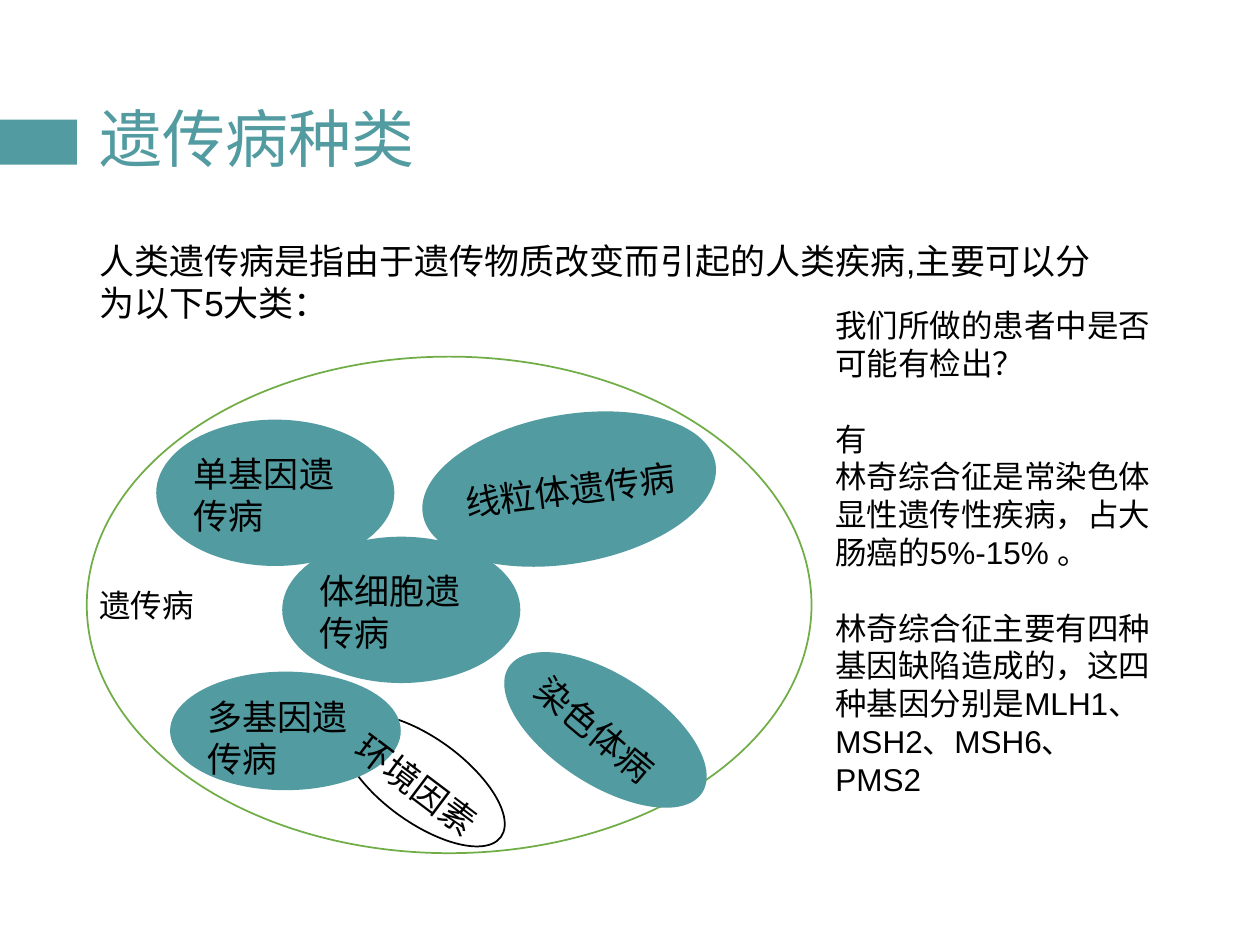
from pptx import Presentation
from pptx.dml.color import RGBColor
from pptx.enum.shapes import MSO_SHAPE
from pptx.enum.text import MSO_ANCHOR, MSO_AUTO_SIZE
from pptx.util import Cm, Pt

HUES = {"teal": "529BA0", "green": "70AD47", "white": "FFFFFF", "black": "000000"}


class Deck:
    def __init__(self):
        self.prs = Presentation()
        self.prs.slide_width, self.prs.slide_height = Cm(25.4), Cm(19.05)
        self.slide = self.prs.slides.add_slide(self.prs.slide_layouts[6])
        self.font = "Arial"

    def hue(self, name):
        return RGBColor.from_string(HUES[name])

    def shape(self, kind, box, fill="teal", line=None, turn=0, host=None):
        shapes = (host or self.slide).shapes
        item = shapes.add_shape(kind, *map(Cm, box))
        item.shadow.inherit = False
        item.rotation = turn
        item.fill.solid()
        item.fill.fore_color.rgb = self.hue(fill)
        if line:
            item.line.color.rgb = self.hue(line)
            item.line.width = Pt(1)
        else:
            item.line.fill.background()

    def oval(self, box, **style):
        self.shape(MSO_SHAPE.OVAL, box, **style)

    def text(self, box, *paras, size=20, color="black", turn=0, wrap=True,
             gaps=(), host=None):
        """Write one paragraph per string; gaps maps an index to space before."""
        item = (host or self.slide).shapes.add_textbox(*map(Cm, box))
        item.rotation = turn
        frame = item.text_frame
        frame.word_wrap = wrap
        frame.auto_size = MSO_AUTO_SIZE.SHAPE_TO_FIT_TEXT
        for num, words in enumerate(paras):
            para = frame.add_paragraph() if num else frame.paragraphs[0]
            if num in gaps:
                para.space_before = Pt(gaps[num])
            run = para.add_run()
            run.text = words
            run.font.name = self.font
            run.font.size = Pt(size)
            run.font.color.rgb = self.hue(color)
        return frame

    def title(self, box, words):
        frame = self.text(box, words, size=36, color="teal")
        frame.auto_size = MSO_AUTO_SIZE.NONE
        frame.vertical_anchor = MSO_ANCHOR.MIDDLE
        frame.paragraphs[0].line_spacing = 0.9

    def node(self, box, words, drop=0.53):
        """Group an oval with its two-line label, inset evenly at the sides."""
        left, top, wide, _ = box
        side = 0.51
        group = self.slide.shapes.add_group_shape()
        self.oval(box, host=group)
        self.text((left + side, top + drop, wide - 2 * side, 1.96), words, host=group)


def main():
    deck = Deck()
    edge = 1.75
    deck.shape(MSO_SHAPE.RECTANGLE, (0, 2.41, 1.55, 0.91))
    deck.oval((edge, 7.19, 14.61, 10.01), fill="white", line="green")
    deck.oval((6.58, 14.88, 3.89, 1.7), fill="white", line="black", turn=36)
    deck.title((edge, 1.02, 21.92, 3.68), "遗传病种类")

    deck.node((3.15, 8.46, 4.8, 2.95), "单基因遗传病")
    deck.node((3.43, 13.54, 4.65, 2.39), "多基因遗传病", drop=0.36)
    deck.text((6.73, 15.32, 3.51, 1.11), "环境因素", turn=37)
    deck.text((edge, 11.68, 2.41, 1.02), "遗传病", size=18, wrap=False)

    deck.oval((8.48, 8.36, 5.99, 3), turn=350)
    deck.text((9.12, 9.32, 4.75, 1.11), "线粒体遗传病", turn=353, wrap=False)
    deck.oval((9.88, 13.61, 4.65, 2.21), turn=33)
    deck.text((10.34, 14.15, 3.33, 1.11), "染色体病", turn=40, wrap=False)
    deck.node((5.69, 10.82, 4.8, 2.95), "体细胞遗传病")

    deck.text((edge, 4.7, 20.52, 1.96),
              "人类遗传病是指由于遗传物质改变而引起的人类疾病,主要可以分为以下5大类：")
    line = 21.6
    deck.text((16.59, 6.05, 7.06, 10.92),
              "我们所做的患者中是否可能有检出？",
              "有",
              "林奇综合征是常染色体显性遗传性疾病，占大肠癌的5%-15% 。",
              "林奇综合征主要有四种基因缺陷造成的，这四种基因分别是MLH1、 MSH2、MSH6、 PMS2",
              size=18, gaps={1: line, 3: line})
    deck.prs.save("out.pptx")


if __name__ == "__main__":
    main()
